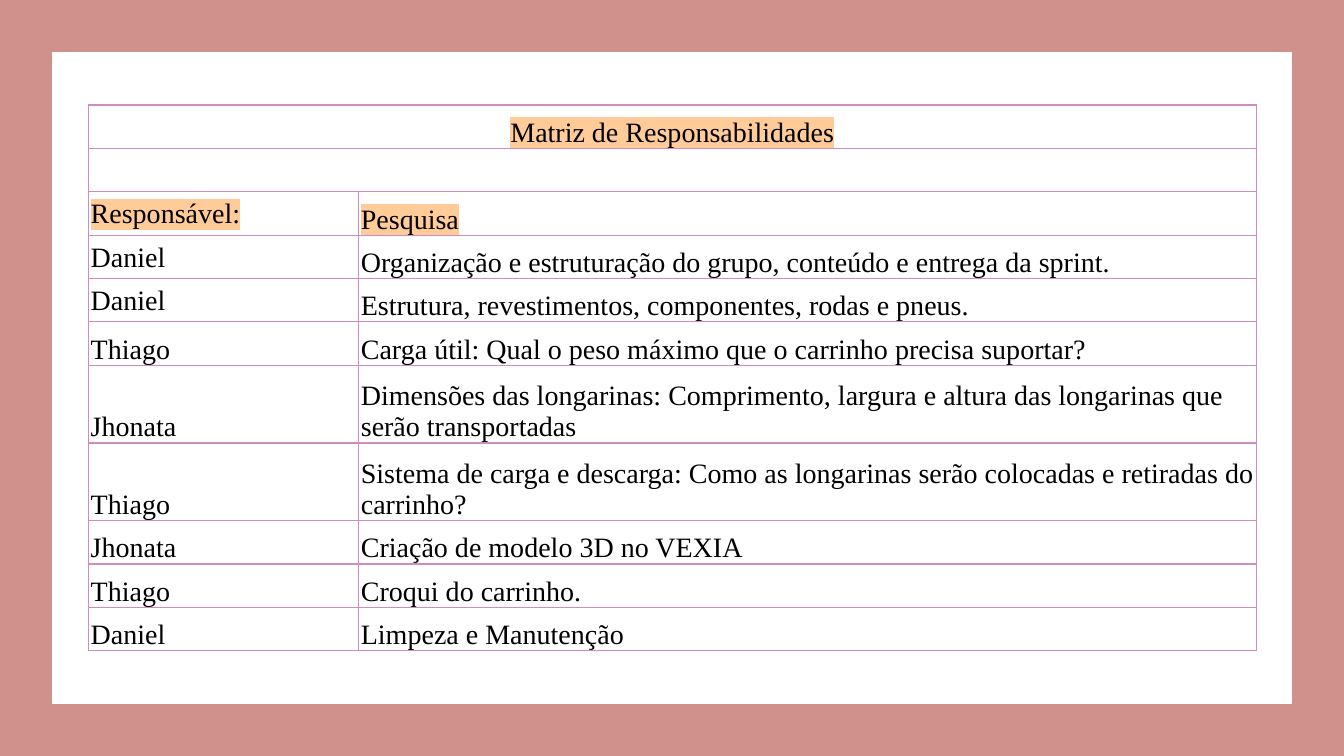
from dataclasses import dataclass

from lxml import etree
from pptx import Presentation
from pptx.dml.color import RGBColor
from pptx.enum.shapes import MSO_SHAPE
from pptx.enum.text import MSO_ANCHOR, PP_ALIGN
from pptx.oxml.ns import qn
from pptx.util import Pt

RECTANGLE = MSO_SHAPE.RECTANGLE
MIDDLE, BOTTOM = MSO_ANCHOR.MIDDLE, MSO_ANCHOR.BOTTOM
LEFT, CENTER = PP_ALIGN.LEFT, PP_ALIGN.CENTER


@dataclass(frozen=True)
class Theme:
    frame: str = "D0908C"
    panel: str = "FFFFFF"
    border: str = "D08CC1"
    text: str = "000000"
    highlight: str = "FFCC99"
    font: str = "Times New Roman"
    size: int = 20


THEME = Theme()
SLIDE_WIDTH, SLIDE_HEIGHT = 960, 540
PANEL_BOX = (37.4, 37.8, 885, 464.5)
TABLE_OFFSET = (25.9, 37.2)
COLUMN_WIDTHS = (193, 641)
ROW_HEIGHT, TALL_ROW_HEIGHT = 31, 55.5
TALL_ROWS = (6, 7)
MIDDLE_ROWS = (2, 3, 4)

TITLE = "Matriz de Responsabilidades"
HEADINGS = ("Responsável:", "Pesquisa")
ASSIGNMENTS = (
    ("Daniel", "Organização e estruturação do grupo, conteúdo e entrega da sprint."),
    ("Daniel", "Estrutura, revestimentos, componentes, rodas e pneus."),
    ("Thiago", "Carga útil: Qual o peso máximo que o carrinho precisa suportar?"),
    ("Jhonata", "Dimensões das longarinas: Comprimento, largura e altura das "
                "longarinas que serão transportadas"),
    ("Thiago", "Sistema de carga e descarga: Como as longarinas serão colocadas "
               "e retiradas do carrinho?"),
    ("Jhonata", "Criação de modelo 3D no VEXIA"),
    ("Thiago", "Croqui do carrinho."),
    ("Daniel", "Limpeza e Manutenção"),
)
# The title row and the empty row below it span both columns
ROWS = ((TITLE, ""), ("", ""), HEADINGS, *ASSIGNMENTS)
SPANNED_ROWS = (0, 1)
HIGHLIGHTED_ROWS = (0, 2)


def add_solid_color(parent, tag, color):
    element = etree.SubElement(parent, qn(tag))
    etree.SubElement(element, qn("a:srgbClr"), val=color)
    return element


def write_text(text_frame, text, align=LEFT, color=THEME.text, highlight=None):
    paragraph = text_frame.paragraphs[0]
    paragraph.alignment = align
    run = paragraph.add_run()
    run.text = text
    run.font.size = Pt(THEME.size)
    run.font.color.rgb = RGBColor.from_string(color)
    if highlight:
        add_solid_color(run.font._element, "a:highlight", highlight)
    run.font.name = THEME.font


def set_borders(cell, color, width=1):
    properties = cell._tc.get_or_add_tcPr()
    for index, side in enumerate(("a:lnL", "a:lnR", "a:lnT", "a:lnB")):
        line = etree.Element(qn(side), w=str(Pt(width)))
        add_solid_color(line, "a:solidFill", color)
        properties.insert(index, line)


def add_rectangle(slide, box, color, outlined=False):
    shape = slide.shapes.add_shape(RECTANGLE, *(Pt(length) for length in box))
    shape.shadow.inherit = False
    shape.fill.solid()
    shape.fill.fore_color.rgb = RGBColor.from_string(color)
    if outlined:
        shape.line.color.rgb = RGBColor.from_string(color)
        shape.line.width = Pt(1)
    else:
        shape.line.fill.background()


def format_cell(cell, anchor):
    cell.fill.background()
    set_borders(cell, THEME.border)
    cell.margin_left = cell.margin_right = cell.margin_top = Pt(1.5)
    cell.margin_bottom = 0
    cell.vertical_anchor = anchor


def add_responsibility_table(slide, box):
    left, top = box[0] + TABLE_OFFSET[0], box[1] + TABLE_OFFSET[1]
    heights = [TALL_ROW_HEIGHT if row in TALL_ROWS else ROW_HEIGHT
               for row in range(len(ROWS))]
    table = slide.shapes.add_table(
        len(ROWS), len(COLUMN_WIDTHS), Pt(left), Pt(top),
        Pt(sum(COLUMN_WIDTHS)), Pt(sum(heights))).table
    table.first_row = table.horz_banding = False
    for column, width in zip(table.columns, COLUMN_WIDTHS):
        column.width = Pt(width)

    for row, (texts, height) in enumerate(zip(ROWS, heights)):
        table.rows[row].height = Pt(height)
        spanned = row in SPANNED_ROWS
        for column, text in enumerate(texts):
            cell = table.cell(row, column)
            centred = row in MIDDLE_ROWS and column == 0
            format_cell(cell, MIDDLE if centred else BOTTOM)
            if text:
                write_text(cell.text_frame, text,
                           align=CENTER if spanned else LEFT,
                           highlight=THEME.highlight if row in HIGHLIGHTED_ROWS else None)
        if spanned:
            table.cell(row, 0).merge(table.cell(row, len(COLUMN_WIDTHS) - 1))


def add_background(slide, box):
    add_rectangle(slide, (0, 0, SLIDE_WIDTH, SLIDE_HEIGHT), THEME.frame)
    add_rectangle(slide, box, THEME.panel, outlined=True)


def main():
    presentation = Presentation()
    presentation.slide_width = Pt(SLIDE_WIDTH)
    presentation.slide_height = Pt(SLIDE_HEIGHT)
    slide = presentation.slides.add_slide(presentation.slide_layouts[6])
    add_background(slide, PANEL_BOX)
    add_responsibility_table(slide, PANEL_BOX)
    presentation.save("out.pptx")


if __name__ == "__main__":
    main()
